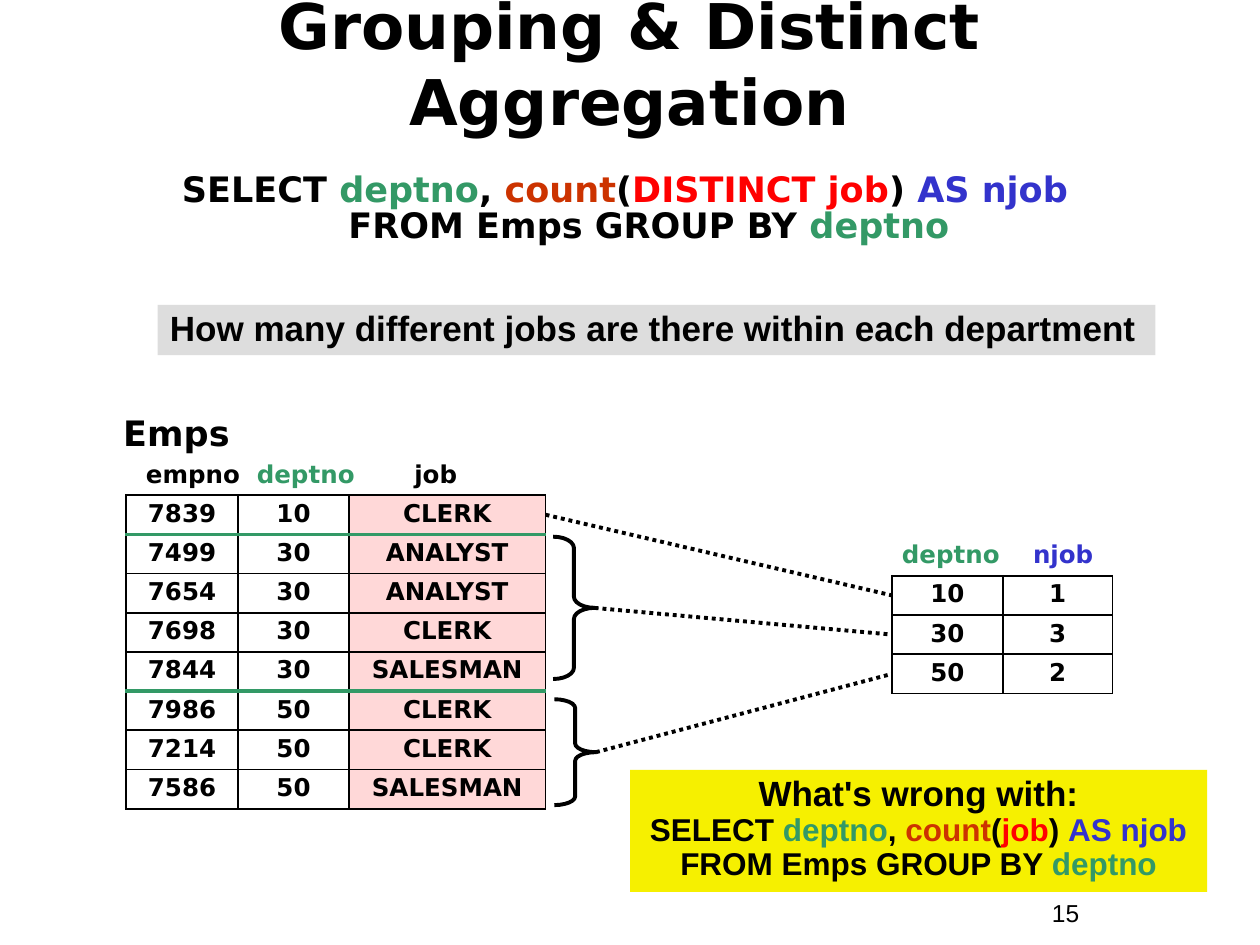
from lxml import etree
from pptx import Presentation
from pptx.dml.color import RGBColor
from pptx.enum import dml, shapes, text
from pptx.oxml.ns import qn
from pptx.util import Inches, Pt

COLORS = {"black": "000000", "green": "339966", "rust": "CC3300", "red": "FF0000",
          "blue": "3333CC", "pink": "FFB3B3", "gray": "DDDDDD", "yellow": "F6F000"}
SANS, ARIAL = "DejaVu Sans", "Arial"

TITLE = [("Grouping & Distinct Aggregation", "black")]
GROUP_BY = [("FROM Emps GROUP BY ", "black"), ("deptno", "green")]
QUERY = [("SELECT ", "black"), ("deptno", "green"), (", ", "black"), ("count", "rust"),
         ("(", "black"), ("DISTINCT job", "red"), (") ", "black"), ("AS njob", "blue")]
WRONG_QUERY = [("SELECT ", "black"), ("deptno", "green"), (",", "black"), (" count", "rust"),
               ("(", "black"), ("job", "red"), (") ", "black"), ("AS njob", "blue")]
QUESTION = [("How many different jobs are there within each department", "black")]
CHALLENGE = [("What's wrong with:", "black")]
EMPLOYEES = [("7839", "10", "CLERK"), ("7499", "30", "ANALYST"), ("7654", "30", "ANALYST"),
             ("7698", "30", "CLERK"), ("7844", "30", "SALESMAN"), ("7986", "50", "CLERK"),
             ("7214", "50", "CLERK"), ("7586", "50", "SALESMAN")]
JOB_COUNTS = [("10", "1"), ("30", "3"), ("50", "2")]
LABELS = [
    (0.88, 3.22, 2.33, 0.44, 20, SANS, True, [("Emps", "black")], []),
    (1.06, 3.59, 2.94, 0.34, 14, SANS, True,
     [("empno", "black"), ("\tdeptno", "green"), ("\tjob", "black")], [0.88, 2.13]),
    (7.06, 4.23, 1.78, 0.34, 14, SANS, True,
     [("deptno", "green"), ("\tnjob", "blue")], [1.04]),
    (8.25, 7.08, 0.92, 0.34, 14, ARIAL, False, [("15", "black")], []),
]
BRACES = [(4.39, 4.26, 0.33, 1.13, 0.27), (4.4, 5.55, 0.33, 0.84, 0.21)]
EMP_LEFT, EMP_TOP, EMP_WIDTHS = 1, 3.93, [0.89, 0.88, 1.56]
COUNT_LEFT, COUNT_TOP, COUNT_WIDTHS = 7.08, 4.57, [0.88, 0.87]
ROW_HEIGHT = 2.49 / len(EMPLOYEES)
CENTER = text.PP_ALIGN.CENTER


def color(name):
    return RGBColor.from_string(COLORS[name])


def write(para, spans, size, font=SANS, bold=True):
    for words, name in spans:
        span = para.add_run()
        span.text = words
        span.font.name, span.font.size, span.font.bold = font, Pt(size), bold
        span.font.color.rgb = color(name)


def place(shape, left, top, width, height):
    shape.left, shape.top = Inches(left), Inches(top)
    shape.width, shape.height = Inches(width), Inches(height)


def add_label(page, left, top, width, height, size, font, bold, spans, stops):
    box = page.shapes.add_textbox(*map(Inches, (left, top, width, height)))
    box.text_frame.word_wrap = True
    para = box.text_frame.paragraphs[0]
    if stops:
        tabs = etree.SubElement(para._p.get_or_add_pPr(), qn("a:tabLst"))
        for stop in stops:
            etree.SubElement(tabs, qn("a:tab"), pos=str(Inches(stop)), algn="l")
    write(para, spans, size, font, bold)


def add_panel(page, left, top, width, height, fill):
    panel = page.shapes.add_shape(shapes.MSO_SHAPE.RECTANGLE,
                                  *map(Inches, (left, top, width, height)))
    panel.shadow.inherit = False
    panel.fill.solid()
    panel.fill.fore_color.rgb = color(fill)
    panel.line.fill.background()
    panel.text_frame.word_wrap = True
    panel.text_frame.vertical_anchor = text.MSO_ANCHOR.TOP
    para = panel.text_frame.paragraphs[0]
    para.line_spacing = 0.9
    para.alignment = text.PP_ALIGN.LEFT
    return para


def add_border(cell, index, side, name, width):
    line = etree.Element(qn("a:ln" + side), w=str(Pt(width)))
    fill = etree.SubElement(line, qn("a:solidFill"))
    etree.SubElement(fill, qn("a:srgbClr"), val=COLORS[name])
    cell._tc.get_or_add_tcPr().insert(index, line)


def add_grid(page, rows, left, top, widths, shaded=None, grouped=False):
    table = page.shapes.add_table(len(rows), len(widths), Inches(left), Inches(top),
                                  Inches(sum(widths)), Inches(ROW_HEIGHT * len(rows))).table
    table.first_row = table.horz_banding = False
    for column, width in zip(table.columns, widths):
        column.width = Inches(width)
    group_starts = {i for i in range(1, len(rows)) if grouped and rows[i][1] != rows[i - 1][1]}
    for r, row in enumerate(rows):
        table.rows[r].height = Inches(ROW_HEIGHT)
        for c, value in enumerate(row):
            cell = table.cell(r, c)
            if c == shaded:
                cell.fill.solid()
                cell.fill.fore_color.rgb = color("pink")
                tint = next(cell._tc.tcPr.iter(qn("a:srgbClr")))
                etree.SubElement(tint, qn("a:alpha"), val="50000")
            else:
                cell.fill.background()
            for index, side in enumerate("LRTB"):
                edge = {"T": r, "B": r + 1}.get(side)
                style = ("green", 2.21) if edge in group_starts else ("black", 1.08)
                add_border(cell, index, side, *style)
            para = cell.text_frame.paragraphs[0]
            para.alignment, para.line_spacing = CENTER, 0.9
            write(para, [(value, "black")], 14)


def add_brace(page, left, top, width, height, curve):
    brace = page.shapes.add_shape(shapes.MSO_SHAPE.RIGHT_BRACE,
                                  *map(Inches, (left, top, width, height)))
    brace.shadow.inherit = False
    brace.adjustments[0] = curve
    brace.fill.background()
    brace.line.color.rgb = color("black")
    brace.line.width = Pt(2.25)


def add_dotted_line(page, start, end):
    line = page.shapes.add_connector(shapes.MSO_CONNECTOR.STRAIGHT, *map(Inches, start + end))
    line.line.color.rgb = color("black")
    line.line.width = Pt(2.25)
    line.line.dash_style = dml.MSO_LINE.ROUND_DOT
    etree.SubElement(line._element.spPr, qn("a:effectLst"))


def main():
    deck = Presentation()
    deck.slide_width, deck.slide_height = Inches(10), Inches(7.5)
    page = deck.slides.add_slide(deck.slide_layouts[1])

    title, body = page.shapes.title, page.placeholders[1]
    place(title, 0.33, 0.08, 9.33, 0.83)
    place(body, 1.25, 1.33, 7.42, 0.83)
    for holder in (title, body):
        holder.text_frame.auto_size = text.MSO_AUTO_SIZE.NONE
        holder.text_frame.paragraphs[0].alignment = CENTER
    write(title.text_frame.paragraphs[0], TITLE, 36)

    para = body.text_frame.paragraphs[0]
    para.line_spacing, para.space_before = 0.85, Pt(0)
    properties = para._p.get_or_add_pPr()
    properties.set("marL", str(Inches(0.38)))
    properties.set("indent", str(-Inches(0.38)))
    etree.SubElement(properties, qn("a:buNone"))
    write(para, QUERY, 20)
    para.add_line_break()
    write(para, GROUP_BY, 20)

    add_grid(page, EMPLOYEES, EMP_LEFT, EMP_TOP, EMP_WIDTHS, shaded=2, grouped=True)
    add_grid(page, JOB_COUNTS, COUNT_LEFT, COUNT_TOP, COUNT_WIDTHS)
    for label in LABELS:
        add_label(page, *label)
    for brace in BRACES:
        add_brace(page, *brace)

    starts = [(EMP_LEFT + sum(EMP_WIDTHS), EMP_TOP + ROW_HEIGHT / 2)]
    starts += [(left + width, top + height / 2) for left, top, width, height, _ in BRACES]
    for i, start in enumerate(starts):
        add_dotted_line(page, start, (COUNT_LEFT, COUNT_TOP + ROW_HEIGHT * (i + 0.5)))

    write(add_panel(page, 1.25, 2.42, 7.92, 0.4, "gray"), QUESTION, 20, ARIAL)
    para = add_panel(page, 5, 6.11, 4.58, 0.97, "yellow")
    para.alignment = CENTER
    write(para, CHALLENGE, 20, ARIAL)
    for spans in (WRONG_QUERY, GROUP_BY):
        para.add_line_break()
        write(para, spans, 18, ARIAL)

    deck.save("out.pptx")


if __name__ == "__main__":
    main()
